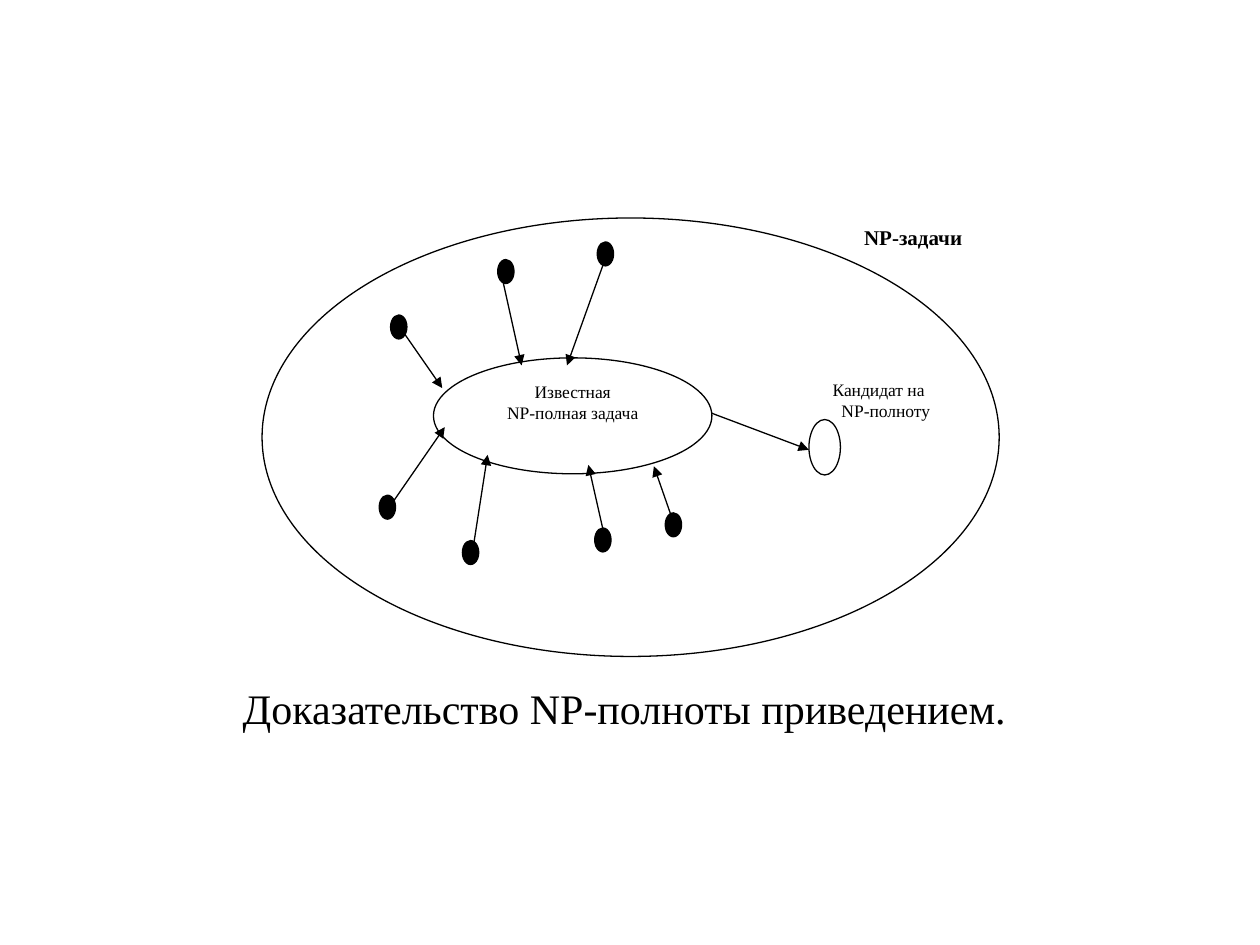
from pptx import Presentation
from pptx.dml.color import RGBColor
from pptx.enum import shapes, text
from pptx.oxml.ns import qn
from pptx.util import Inches, Pt
from lxml import etree

BLACK = RGBColor(0, 0, 0)
WHITE = RGBColor(255, 255, 255)
FONT = "Times New Roman"
DOT_SIZE = (0.13, 0.19)

# Each problem: dot corner, arrow start, arrow end, in inches from the diagram corner
PROBLEMS = [
    ((2.66, 0.19), (2.75, 0.25), (2.42, 1.17)),
    ((1.87, 0.33), (1.90, 0.45), (2.06, 1.17)),
    ((1.02, 0.77), (1.11, 0.89), (1.43, 1.35)),
    ((0.93, 2.20), (1.00, 2.31), (1.45, 1.66)),
    ((1.59, 2.56), (1.67, 2.65), (1.79, 1.88)),
    ((2.64, 2.46), (2.73, 2.58), (2.59, 1.96)),
    ((3.20, 2.34), (3.27, 2.43), (3.11, 1.97)),
]


def write(tf, lines, size, align=text.PP_ALIGN.LEFT, bold=False):
    frame_format = {"word_wrap": True, "auto_size": text.MSO_AUTO_SIZE.NONE,
                    "vertical_anchor": text.MSO_ANCHOR.TOP}
    for name, value in frame_format.items():
        setattr(tf, name, value)
    font_format = {"name": FONT, "size": Pt(size), "bold": bold}
    for i, line in enumerate(lines):
        p = tf.paragraphs[0] if i == 0 else tf.add_paragraph()
        p.alignment = align
        r = p.add_run()
        r.text = line
        for name, value in font_format.items():
            setattr(r.font, name, value)
        r.font.color.rgb = BLACK


def add_ellipse(slide, at, size, fill=None):
    sp = slide.shapes.add_shape(shapes.MSO_SHAPE.OVAL, *map(Inches, at + size))
    sp.shadow.inherit = False
    if fill is None:
        sp.fill.background()
    else:
        sp.fill.solid()
        sp.fill.fore_color.rgb = fill
    sp.line.color.rgb = BLACK
    sp.line.width = Pt(0.75)
    return sp


def add_arrow(slide, start, end):
    line = slide.shapes.add_connector(
        shapes.MSO_CONNECTOR.STRAIGHT, *map(Inches, start + end))
    line.line.color.rgb = BLACK
    line.line.width = Pt(0.75)
    etree.SubElement(line.line._get_or_add_ln(), qn("a:tailEnd"), type="triangle")
    etree.SubElement(line._element.spPr, qn("a:effectLst"))


def add_label(slide, at, lines, size, bold=False):
    box = slide.shapes.add_textbox(*map(Inches, at + (1.19, 0.78)))
    box.fill.solid()
    box.fill.fore_color.rgb = WHITE
    write(box.text_frame, lines, size, bold=bold)
    return box


def add_diagram(slide, left, top, width, height):
    def place(point):
        return left + point[0], top + point[1]

    add_label(slide, place((4.68, 0)), ["NP-задачи"], 12, bold=True)
    add_ellipse(slide, (left, top), (width, height), WHITE)

    known = add_ellipse(slide, place((1.36, 1.11)), (2.21, 0.92), WHITE)
    write(known.text_frame, ["Известная", "NP-полная задача"], 10,
          text.PP_ALIGN.CENTER)

    for dot, start, end in PROBLEMS:
        add_ellipse(slide, place(dot), DOT_SIZE, BLACK)
        add_arrow(slide, place(start), place(end))

    add_arrow(slide, place((3.57, 1.55)), place((4.34, 1.84)))
    label = add_label(slide, place((4.43, 1.23)), ["Кандидат на", "NP-полноту"], 10)
    second = label.text_frame.paragraphs[1]._p.get_or_add_pPr()
    second.set("marL", str(Inches(0.07)))
    add_ellipse(slide, place((4.34, 1.60)), (0.25, 0.44))


def add_caption(slide, left, top, width, height):
    title = slide.shapes.title
    box = {"left": left, "top": top, "width": width, "height": height}
    for name, value in box.items():
        setattr(title, name, Inches(value))
    write(title.text_frame, ["Доказательство NP-полноты приведением."], 24,
          text.PP_ALIGN.CENTER)


def main():
    prs = Presentation()
    prs.slide_width, prs.slide_height = Inches(10), Inches(7.5)
    slide = prs.slides.add_slide(prs.slide_layouts.get_by_name("Title Only"))
    add_diagram(slide, 2.08, 1.73, 5.85, 3.48)
    add_caption(slide, 1.43, 5.37, 7.05, 0.66)
    prs.save("out.pptx")


if __name__ == "__main__":
    main()
